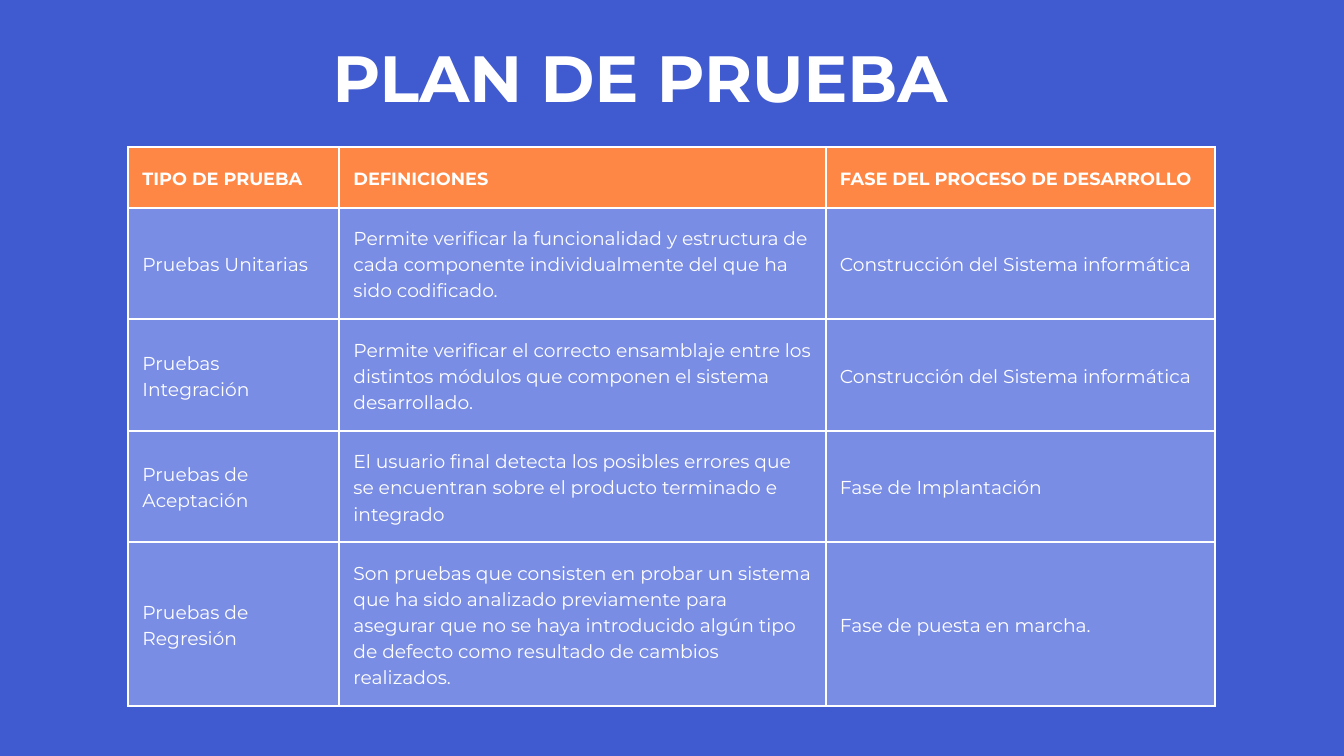
from lxml import etree
from pptx import Presentation
from pptx.dml.color import RGBColor
from pptx.enum.text import MSO_ANCHOR, MSO_AUTO_SIZE
from pptx.oxml.ns import qn
from pptx.util import Inches, Pt

MIDDLE = MSO_ANCHOR.MIDDLE
GROW = MSO_AUTO_SIZE.SHAPE_TO_FIT_TEXT

FONT = "Montserrat"
WHITE = "FFFFFF"
BLUE = "405ACF"
ORANGE = "FF8745"
LIGHT_BLUE = "7A8DE4"

COLUMN_WIDTHS = [3.14, 7.24, 5.79]
ROW_HEIGHTS = [0.9, 1.66, 1.66, 1.66, 2.44]
TEST_PLAN = [
    ("TIPO DE PRUEBA", "DEFINICIONES", "FASE DEL PROCESO DE DESARROLLO"),
    ("Pruebas Unitarias",
     "Permite verificar la funcionalidad y estructura de cada componente "
     "individualmente del que ha sido codificado.",
     "Construcción del Sistema informática"),
    ("Pruebas Integración",
     "Permite verificar el correcto ensamblaje entre los distintos módulos "
     "que componen el sistema desarrollado.",
     "Construcción del Sistema informática"),
    ("Pruebas de Aceptación",
     "El usuario final detecta los posibles errores que se encuentran sobre "
     "el producto terminado e integrado",
     "Fase de Implantación"),
    ("Pruebas de Regresión",
     "Son pruebas que consisten en probar un sistema que ha sido analizado "
     "previamente para asegurar que no se haya introducido algún tipo de "
     "defecto como resultado de cambios realizados.",
     "Fase de puesta en marcha."),
]


def paint(fill, color):
    fill.solid()
    fill.fore_color.rgb = RGBColor.from_string(color)


def write(frame, text, size, line_height, bold=False):
    frame.text = text
    para = frame.paragraphs[0]
    para.line_spacing = Pt(line_height)
    for span in para.runs:
        span.font.name = FONT
        span.font.size = Pt(size)
        span.font.bold = bold
        span.font.color.rgb = RGBColor.from_string(WHITE)


def add_borders(cell, color, width):
    """Draw all four cell edges; they must come before the fill."""
    properties = cell._tc.get_or_add_tcPr()
    for position, side in enumerate(("a:lnL", "a:lnR", "a:lnT", "a:lnB")):
        line = etree.Element(qn(side), w=str(Pt(width)))
        fill = etree.SubElement(line, qn("a:solidFill"))
        etree.SubElement(fill, qn("a:srgbClr"), val=color)
        properties.insert(position, line)


def add_title(page, text):
    box = page.shapes.add_textbox(Inches(4.95), Inches(0.55), Inches(9.42), Inches(1.16))
    frame = box.text_frame
    frame.word_wrap = True
    frame.auto_size = GROW
    frame.margin_left = frame.margin_right = 0
    frame.margin_top = frame.margin_bottom = 0
    write(frame, text, 70, 84, bold=True)


def format_cell(cell, text, is_header):
    cell.vertical_anchor = MIDDLE
    cell.margin_left = cell.margin_right = Inches(0.21)
    cell.margin_top = cell.margin_bottom = Inches(0.21)
    size = 19 if is_header else 20
    write(cell.text_frame, text, size, size * 1.4, bold=is_header)
    paint(cell.fill, ORANGE if is_header else LIGHT_BLUE)
    add_borders(cell, WHITE, 2.25)


def add_plan_table(page, rows):
    frame = page.shapes.add_table(
        len(rows), len(COLUMN_WIDTHS), Inches(1.91), Inches(2.19),
        Inches(sum(COLUMN_WIDTHS)), Inches(sum(ROW_HEIGHTS)))
    table = frame.table
    for column, width in zip(table.columns, COLUMN_WIDTHS):
        column.width = Inches(width)
    for row, height in zip(table.rows, ROW_HEIGHTS):
        row.height = Inches(height)
    for row_index, texts in enumerate(rows):
        for column_index, text in enumerate(texts):
            format_cell(table.cell(row_index, column_index), text, row_index == 0)


def main():
    deck = Presentation()
    deck.slide_width = Inches(20)
    deck.slide_height = Inches(11.25)
    page = deck.slides.add_slide(deck.slide_layouts[6])
    paint(page.background.fill, BLUE)

    # Test types with their definitions and phases
    add_plan_table(page, TEST_PLAN)

    # Heading
    add_title(page, "PLAN DE PRUEBA")

    deck.save("out.pptx")


if __name__ == "__main__":
    main()
